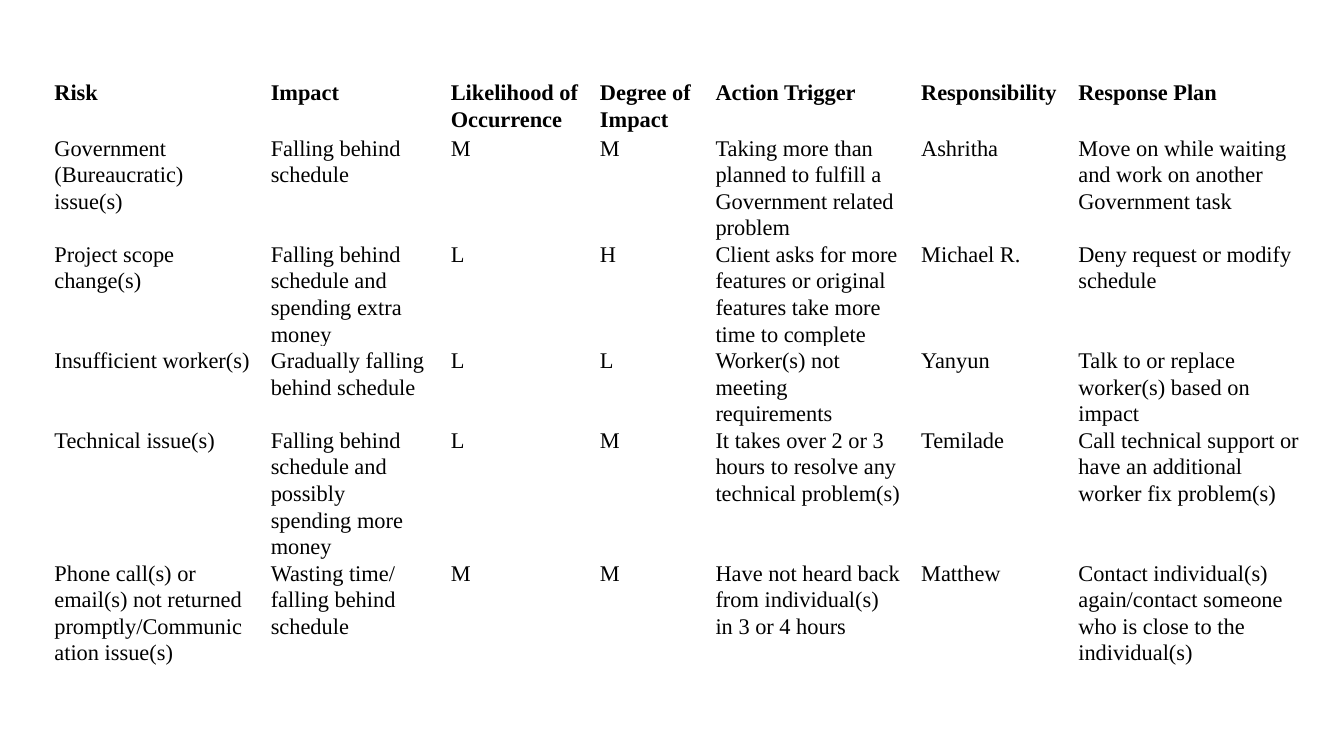
from pptx import Presentation
from pptx.dml.color import RGBColor
from pptx.util import Inches, Pt

THEME = {
    "font": "Times New Roman",
    "size": Pt(12),
    "ink": RGBColor(0x00, 0x00, 0x00),
    "line_spacing": 1.07,
    "side_margin": Pt(5.4),
}

COLUMNS = [
    ("Risk", 1.61),
    ("Impact", 1.34),
    ("Likelihood of Occurrence", 1.11),
    ("Degree of Impact", 0.86),
    ("Action Trigger", 1.53),
    ("Responsibility", 1.17),
    ("Response Plan", 1.81),
]

RISKS = [
    ("Government (Bureaucratic) issue(s)", "Falling behind schedule", "M", "M",
     "Taking more than planned to fulfill a Government related problem",
     "Ashritha", "Move on while waiting and work on another Government task"),
    ("Project scope change(s)",
     "Falling behind schedule and spending extra money", "L", "H",
     "Client asks for more features or original features take more time to complete",
     "Michael R.", "Deny request or modify schedule"),
    ("Insufficient worker(s)", "Gradually falling behind schedule", "L", "L",
     "Worker(s) not meeting requirements",
     "Yanyun", "Talk to or replace worker(s) based on impact"),
    ("Technical issue(s)",
     "Falling behind schedule and possibly spending more money", "L", "M",
     "It takes over 2 or 3 hours to resolve any technical problem(s)",
     "Temilade", "Call technical support or have an additional worker fix problem(s)"),
    ("Phone call(s) or email(s) not returned promptly/Communication issue(s)",
     "Wasting time/ falling behind schedule", "M", "M",
     "Have not heard back from individual(s) in 3 or 4 hours",
     "Matthew",
     "Contact individual(s) again/contact someone who is close to the individual(s)"),
]

ROW_HEIGHT = 0.41  # minimum height; rows grow with their text

prs = Presentation()
prs.slide_width = Inches(10)
prs.slide_height = prs.slide_width * 9 // 16
slide = prs.slides.add_slide(prs.slide_layouts[6])

headings = [heading for heading, _ in COLUMNS]
widths = [width for _, width in COLUMNS]
rows = [headings, *RISKS]

risk_table = slide.shapes.add_table(
    len(rows), len(COLUMNS), Inches(0.33), Inches(0.59),
    Inches(sum(widths)), Inches(ROW_HEIGHT * len(rows)),
).table
risk_table.first_row = False
risk_table.horz_banding = False

for column, width in zip(risk_table.columns, widths):
    column.width = Inches(width)

for row_index, row in enumerate(rows):
    for column_index, wording in enumerate(row):
        cell = risk_table.cell(row_index, column_index)
        cell.fill.background()
        cell.margin_left = cell.margin_right = THEME["side_margin"]
        cell.margin_top = cell.margin_bottom = 0
        cell.text = wording
        paragraph = cell.text_frame.paragraphs[0]
        paragraph.line_spacing = THEME["line_spacing"]
        paragraph.font.name = THEME["font"]
        paragraph.font.size = THEME["size"]
        paragraph.font.color.rgb = THEME["ink"]
        paragraph.font.bold = row_index == 0

prs.save("out.pptx")
